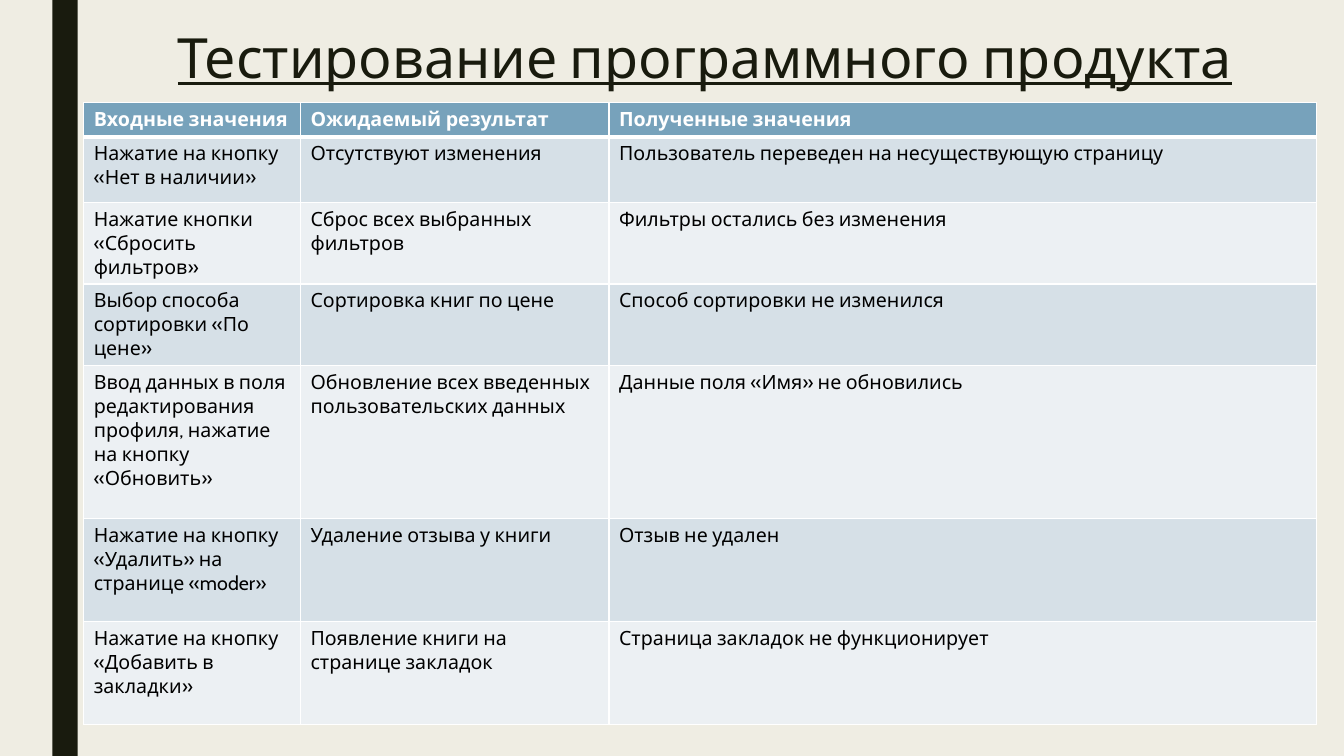
from dataclasses import dataclass

from lxml import etree
from pptx import Presentation
from pptx import util as u
from pptx.dml.color import RGBColor
from pptx.enum import shapes, text
from pptx.oxml import ns


@dataclass(frozen=True)
class Theme:
    font: str = "Cabin"
    background: str = "EFEDE3"
    dark: str = "191B0E"
    header: str = "77A2BB"
    header_text: str = "FFFFFF"
    body_text: str = "000000"
    bands: tuple = ("D6E0E7", "ECF0F3")
    border: str = "FFFFFF"
    title_size: float = 39.6
    table_size: float = 14


THEME = Theme()

COLUMN_WIDTHS = (2.15, 3.06, 7.02)
ROW_HEIGHTS = (0.33, 0.65, 0.81, 0.81, 1.52, 1.02, 1.02)
TEST_ROWS = (
    ("Входные значения", "Ожидаемый результат", "Полученные значения"),
    ("Нажатие на кнопку «Нет в наличии»", "Отсутствуют изменения",
     "Пользователь переведен на несуществующую страницу"),
    ("Нажатие кнопки «Сбросить фильтров»", "Сброс всех выбранных фильтров",
     "Фильтры остались без изменения"),
    ("Выбор способа сортировки «По цене»", "Сортировка книг по цене",
     "Способ сортировки не изменился"),
    ("Ввод данных в поля редактирования профиля, нажатие на кнопку «Обновить»",
     "Обновление всех введенных пользовательских данных",
     "Данные поля «Имя» не обновились"),
    ("Нажатие на кнопку «Удалить» на странице «moder»",
     "Удаление отзыва у книги", "Отзыв не удален"),
    ("Нажатие на кнопку «Добавить в закладки»",
     "Появление книги на странице закладок",
     "Страница закладок не функционирует"),
)


def fill_solid(fill, color):
    fill.solid()
    fill.fore_color.rgb = RGBColor.from_string(color)


def write_text(frame, content, *, size, color, bold=False, underline=False,
               align=text.PP_ALIGN.LEFT, line_spacing=1.0):
    paragraph = frame.paragraphs[0]
    paragraph.alignment = align
    paragraph.line_spacing = line_spacing
    run = paragraph.add_run()
    run.text = content
    font = run.font
    font.name = THEME.font
    font.size = u.Pt(size)
    font.bold = bold
    font.underline = underline
    font.color.rgb = RGBColor.from_string(color)


def set_borders(cell, color, **widths):
    properties = cell._tc.get_or_add_tcPr()
    for side, width in widths.items():
        line = etree.SubElement(properties, ns.qn(f"a:ln{side}"), w=str(u.Pt(width)))
        solid = etree.SubElement(line, ns.qn("a:solidFill"))
        etree.SubElement(solid, ns.qn("a:srgbClr"), val=color)


def add_side_bar(slide, height):
    bar = slide.shapes.add_shape(shapes.MSO_SHAPE.RECTANGLE,
                                 u.Inches(0.52), 0, u.Inches(0.25), height)
    bar.shadow.inherit = False
    fill_solid(bar.fill, THEME.dark)
    bar.line.fill.background()


def set_title(slide, content):
    title = slide.shapes.title
    title.left, title.top = u.Inches(0.83), u.Inches(0.23)
    title.width, title.height = u.Inches(12.33), u.Inches(0.74)
    title.text_frame.vertical_anchor = text.MSO_ANCHOR.MIDDLE
    title.text_frame.auto_size = text.MSO_AUTO_SIZE.NONE
    write_text(title.text_frame, content, size=THEME.title_size, color=THEME.dark,
               underline=True, align=text.PP_ALIGN.CENTER, line_spacing=0.89)


def add_test_table(slide):
    frame = slide.shapes.add_table(
        len(TEST_ROWS), len(COLUMN_WIDTHS), u.Inches(0.83), u.Inches(1.02),
        u.Inches(sum(COLUMN_WIDTHS)), u.Inches(sum(ROW_HEIGHTS)))
    table = frame.table
    for column, width in zip(table.columns, COLUMN_WIDTHS):
        column.width = u.Inches(width)
    for row_index, (row, height) in enumerate(zip(table.rows, ROW_HEIGHTS)):
        row.height = u.Inches(height)
        is_header = row_index == 0
        background = THEME.header if is_header else THEME.bands[(row_index - 1) % 2]
        for cell, content in zip(row.cells, TEST_ROWS[row_index]):
            # The rule between the header and the first row is thicker
            set_borders(cell, THEME.border, L=1, R=1,
                        T=3 if row_index == 1 else 1, B=3 if is_header else 1)
            fill_solid(cell.fill, background)
            write_text(cell.text_frame, content, size=THEME.table_size, bold=is_header,
                       color=THEME.header_text if is_header else THEME.body_text)


def main():
    presentation = Presentation()
    presentation.slide_width = u.Inches(13.33)
    presentation.slide_height = u.Inches(7.5)

    # Title-only slide with a plain background
    slide = presentation.slides.add_slide(presentation.slide_layouts[5])
    fill_solid(slide.background.fill, THEME.background)

    # Side bar, heading and test results
    add_side_bar(slide, presentation.slide_height)
    set_title(slide, "Тестирование программного продукта")
    add_test_table(slide)

    presentation.save("out.pptx")


if __name__ == "__main__":
    main()
